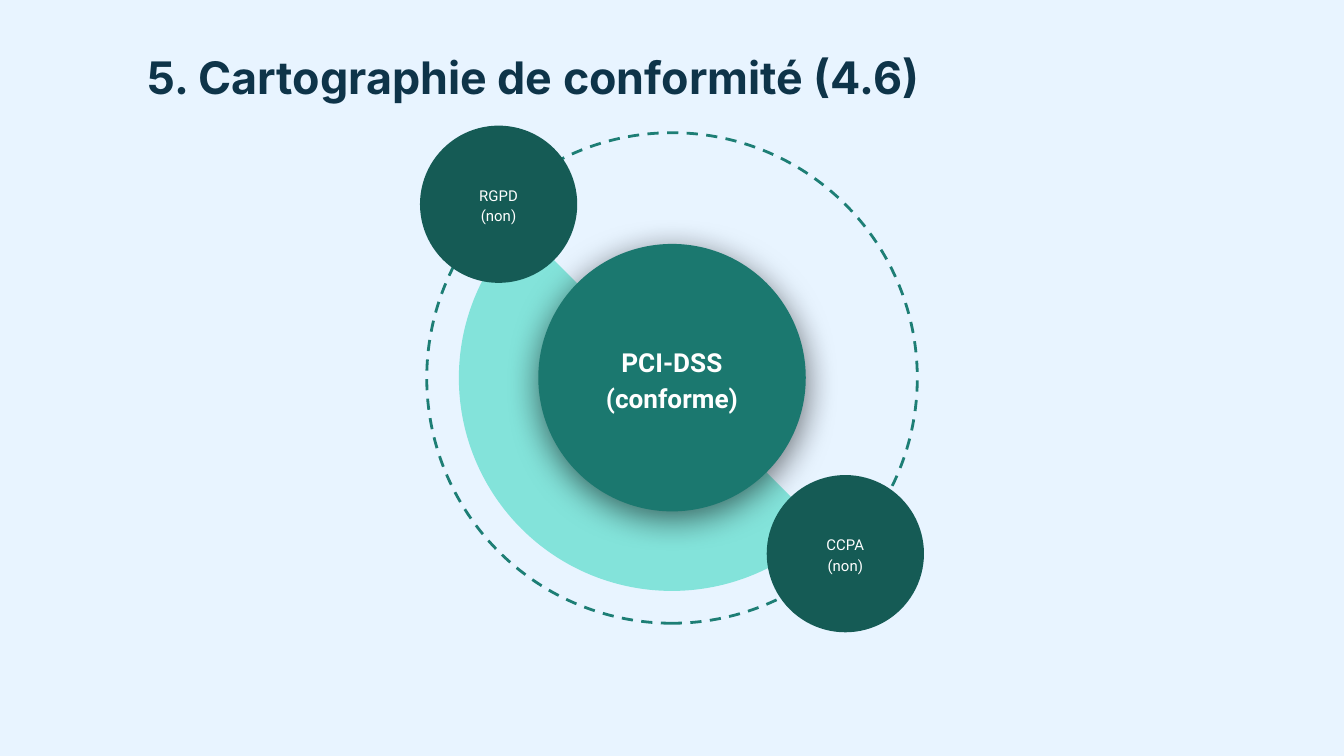
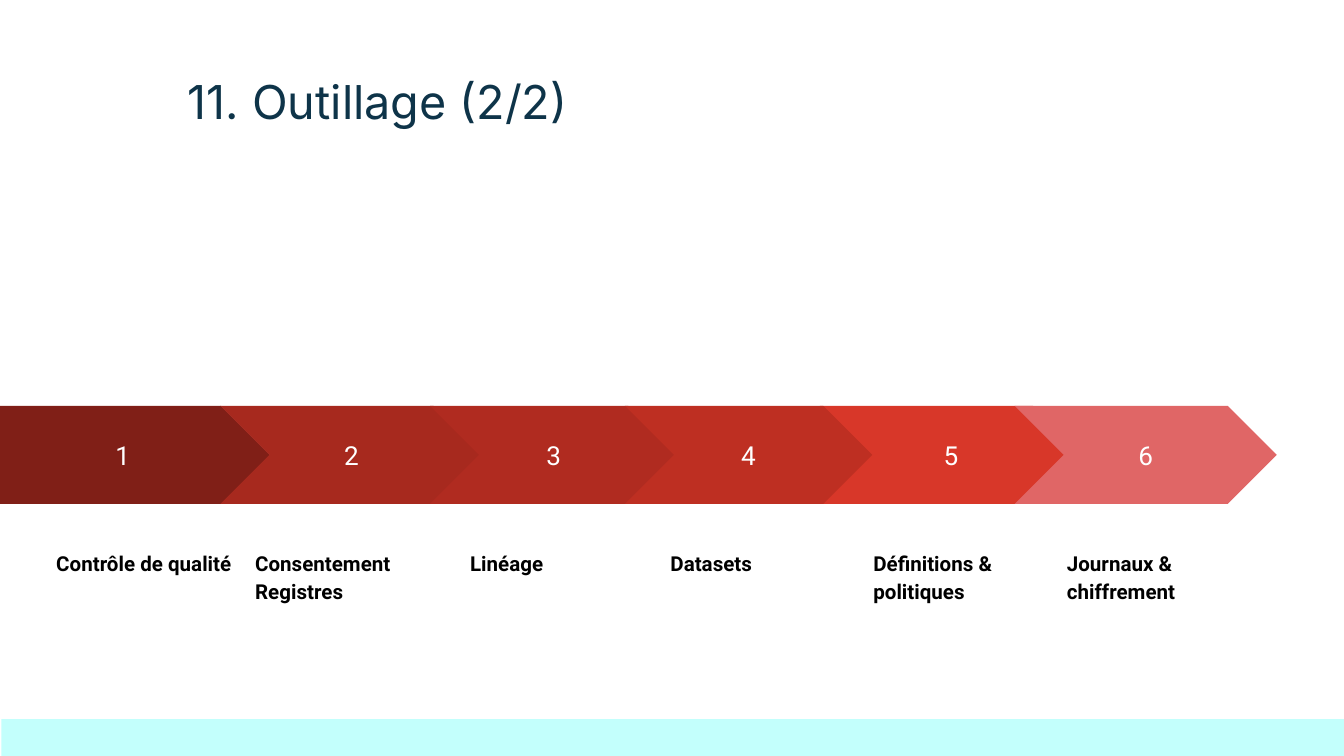
from lxml import etree
from pptx import Presentation
from pptx.dml.color import RGBColor
from pptx.enum.dml import MSO_LINE
from pptx.enum.shapes import MSO_SHAPE
from pptx.enum.text import MSO_ANCHOR, PP_ALIGN
from pptx.oxml.ns import qn
from pptx.util import Inches, Pt

OVAL, PIE, RECT = MSO_SHAPE.OVAL, MSO_SHAPE.PIE, MSO_SHAPE.RECTANGLE
PENTAGON, CHEVRON = MSO_SHAPE.PENTAGON, MSO_SHAPE.CHEVRON
LEFT, CENTER = PP_ALIGN.LEFT, PP_ALIGN.CENTER
TOP, MIDDLE = MSO_ANCHOR.TOP, MSO_ANCHOR.MIDDLE

# Content
COMPLIANCE_TITLE = "5. Cartographie de conformité (4.6)"
DISCS = [  # centre, diameter, text size, style, lines
    ((5, 2.81), 1.99, (1.47, 0.9), "hub", ["PCI-DSS", "(conforme)"]),
    ((3.71, 1.52), 1.17, (0.83, 0.8), "satellite", ["RGPD", "(non)"]),
    ((6.29, 4.12), 1.17, (0.83, 0.8), "satellite", ["CCPA", "(non)"]),
]

TOOLS_TITLE = "11. Outillage (2/2)"
STEPS = [  # number, arrow left and width, label left and width, label lines
    (1, 0, 2.01, 0.32, 1.78, ["Contrôle de qualité"]),
    (2, 1.64, 1.95, 1.80, 1.54, ["Consentement", "Registres"]),
    (3, 3.20, 1.84, 3.40, 1.44, ["Linéage"]),
    (5, 6.10, 1.95, 6.40, 1.54, ["Définitions & politiques"]),
    (4, 4.65, 1.84, 4.89, 1.44, ["Datasets"]),  # its tip lies over step 5
    (6, 7.55, 1.95, 7.84, 1.54, ["Journaux & chiffrement"]),
]

# Shared style
COLORS = {
    "sky": "E8F4FF", "white": "FFFFFF", "black": "000000", "title": "0E3449",
    "orbit": "1D7E75", "sector": "83E3DA", "hub": "1B786F", "satellite": "155B55",
    "footer": "C3FFFC",
    "step1": "801F17", "step2": "A7291E", "step3": "B02B20",
    "step4": "BE2F22", "step5": "D83729", "step6": "E06666",
}
FORMATS = {
    "title_bold": {"name": "Inter", "size": Pt(24), "bold": True},
    "title_plain": {"name": "Inter", "size": Pt(25), "bold": False},
    "hub": {"name": "Roboto", "size": Pt(14), "bold": True},
    "satellite": {"name": "Roboto", "size": Pt(8), "bold": False},
    "number": {"name": "Roboto", "size": Pt(14), "bold": False},
    "label": {"name": "Roboto", "size": Pt(11), "bold": True},
}
SLIDE_W = 10
SLIDE_H = SLIDE_W * 9 / 16


def rgb(color):
    return RGBColor.from_string(COLORS[color])


def add_slide(prs, background):
    s = prs.slides.add_slide(prs.slide_layouts[6])
    s.background.fill.solid()
    s.background.fill.fore_color.rgb = rgb(background)
    return s


def write(sp, lines, style, color, align=LEFT, anchor=TOP, spacing=1.0):
    tf = sp.text_frame
    tf.word_wrap = True
    tf.vertical_anchor = anchor
    for side in ("left", "right", "top", "bottom"):
        setattr(tf, f"margin_{side}", Inches(0.1))
    for i, line in enumerate(lines):
        p = tf.add_paragraph() if i else tf.paragraphs[0]
        p.alignment, p.line_spacing = align, spacing
        r = p.add_run()
        r.text = line
        for key, value in FORMATS[style].items():
            setattr(r.font, key, value)
        r.font.color.rgb = rgb(color)


def add_text(s, box, lines, style, color, **layout):
    write(s.shapes.add_textbox(*map(Inches, box)), lines, style, color, **layout)


def add_shape(s, kind, box, fill=None):
    sp = s.shapes.add_shape(kind, *map(Inches, box))
    sp.shadow.inherit = False
    sp.line.fill.background()
    if fill:
        sp.fill.solid()
        sp.fill.fore_color.rgb = rgb(fill)
    else:
        sp.fill.background()
    return sp


def add_soft_shadow(sp, blur, distance, direction, opacity):
    effects = sp._element.spPr.find(qn("a:effectLst"))
    shadow = etree.SubElement(
        effects, qn("a:outerShdw"), blurRad=str(Pt(blur)), dist=str(Pt(distance)),
        dir=str(direction * 60000), algn="bl", rotWithShape="0")
    color = etree.SubElement(shadow, qn("a:srgbClr"), val=COLORS["black"])
    etree.SubElement(color, qn("a:alpha"), val=str(opacity * 1000))


def centred_box(centre, w, h):
    return centre[0] - w / 2, centre[1] - h / 2, w, h


def compliance_slide(prs):
    s = add_slide(prs, "sky")
    add_text(s, (1, 0.27, 8.92, 0.67), [COMPLIANCE_TITLE], "title_bold", "title")
    middle = (SLIDE_W / 2, SLIDE_H / 2)

    # Dashed orbit and half-disc sector
    orbit = add_shape(s, OVAL, centred_box(middle, 3.65, 3.65))
    orbit.rotation = 270
    orbit.line.color.rgb = rgb("orbit")
    orbit.line.width = Pt(1.5)
    orbit.line.dash_style = MSO_LINE.DASH
    sector = add_shape(s, PIE, centred_box(middle, 3.17, 3.17), "sector")
    for i, degrees in enumerate((45, 225)):
        sector.adjustments[i] = degrees * 0.6

    # Hub and satellites, each with its text
    for centre, diameter, text_size, style, lines in DISCS:
        sp = add_shape(s, OVAL, centred_box(centre, diameter, diameter), style)
        if style == "hub":
            add_soft_shadow(sp, blur=18, distance=4, direction=90, opacity=55)
        add_text(s, centred_box(centre, *text_size), lines, style, "white",
                 align=CENTER, anchor=MIDDLE, spacing=1.15)


def tools_slide(prs):
    s = add_slide(prs, "white")
    add_text(s, (1.3, 0.44, 6.93, 0.58), [TOOLS_TITLE], "title_plain", "title")
    add_shape(s, RECT, (0.01, 5.35, SLIDE_W - 0.01, SLIDE_H - 5.35), "footer")

    # Numbered arrows with labels below
    for n, x, w, label_x, label_w, lines in STEPS:
        kind = CHEVRON if n > 1 else PENTAGON
        sp = add_shape(s, kind, (x, 3.02, w, 0.73), f"step{n}")
        sp.adjustments[0] = 0.5
        write(sp, [str(n)], "number", "white", align=CENTER, anchor=MIDDLE)
        add_text(s, (label_x, 3.97, label_w, SLIDE_H - 3.97), lines, "label",
                 "black", spacing=1.15)


def main():
    prs = Presentation()
    prs.slide_width, prs.slide_height = Inches(SLIDE_W), Inches(SLIDE_H)
    compliance_slide(prs)
    tools_slide(prs)
    prs.save("out.pptx")


if __name__ == "__main__":
    main()
